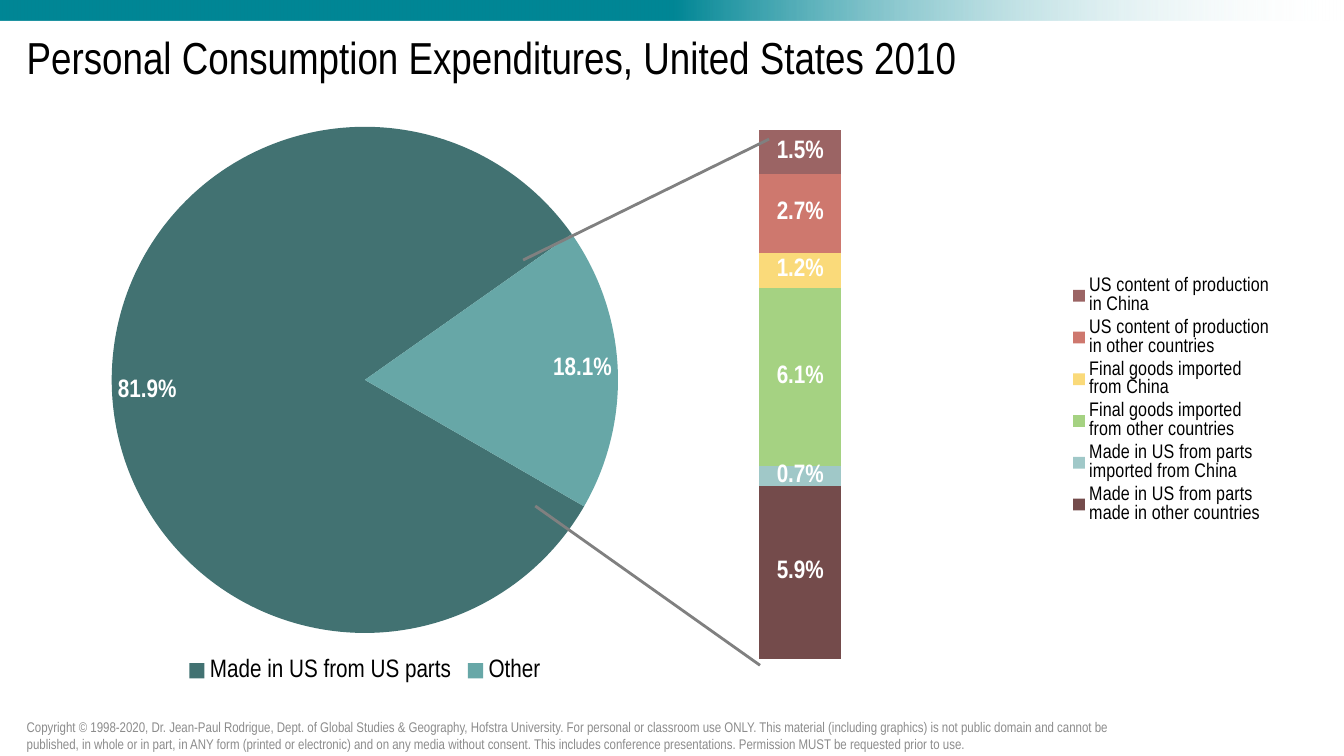
from lxml import etree
from pptx import Presentation
from pptx import util as u
from pptx.chart.data import CategoryChartData
from pptx.dml.color import RGBColor
from pptx.enum import chart as ch, shapes, text
from pptx.oxml import parse_xml
from pptx.oxml.ns import nsdecls, qn

COLUMNS, ROWS = 80, 45
WIDTH, HEIGHT = u.Inches(13.33), u.Inches(7.5)
FONT = "Arial Narrow"
COLORS = {
    "band": "008695", "white": "FFFFFF", "black": "000000", "grey": "8C8C8C",
    "leader": "808080", "us parts": "427272", "other": "67A7A7",
}
TITLE = "Personal Consumption Expenditures, United States 2010"
COPYRIGHT = (
    "Copyright © 1998-2020, Dr. Jean-Paul Rodrigue, Dept. of Global Studies & Geography, "
    "Hofstra University. For personal or classroom use ONLY. This material (including graphics) "
    "is not public domain and cannot be published, in whole or in part, in ANY form (printed or "
    "electronic) and on any media without consent. This includes conference presentations. "
    "Permission MUST be requested prior to use."
)
ORIGINS = [
    ("Made in US from US parts", 0.819, COLORS["us parts"]),
    ("Other", 0.181, COLORS["other"]),
]
OTHER_PARTS = [
    ("Made in US from parts made in other countries", 0.059, "744B4B"),
    ("Made in US from parts imported from China", 0.007, "A0C8C8"),
    ("Final goods imported from other countries", 0.061, "A5D282"),
    ("Final goods imported from China", 0.012, "FADA7A"),
    ("US content of production in other countries", 0.027, "CE786E"),
    ("US content of production in China", 0.015, "9B6464"),
]


def grid(*cells):
    """Turn alternating column and row counts into slide lengths."""
    sizes = (WIDTH / COLUMNS, HEIGHT / ROWS)
    return [u.Emu(round(cell * sizes[i % 2])) for i, cell in enumerate(cells)]


def rgb(color):
    """Return the colour object of a hex string."""
    return RGBColor.from_string(color)


def style_font(font, size, color, bold=False):
    """Give a font its face, size, colour and weight."""
    font.name, font.size, font.bold = FONT, u.Pt(size), bold
    font.color.rgb = rgb(color)


def add_text(slide, cells, content, size, color, line_spacing=1.0):
    """Add a wrapped, vertically centred text box."""
    frame = slide.shapes.add_textbox(*grid(*cells)).text_frame
    frame.word_wrap = True
    frame.vertical_anchor = text.MSO_ANCHOR.MIDDLE
    paragraph = frame.paragraphs[0]
    paragraph.line_spacing = line_spacing
    run = paragraph.add_run()
    run.text = content
    style_font(run.font, size, color)


def add_band(slide):
    """Add the top band that fades out to the right."""
    band = slide.shapes.add_shape(shapes.MSO_SHAPE.RECTANGLE, *grid(0, 0, COLUMNS, 1.2))
    band.shadow.inherit = False
    band.line.fill.background()
    band.fill.gradient()
    band.fill.gradient_angle = 0
    solid, clear = band.fill.gradient_stops
    solid.position, clear.position = 0.5, 1
    solid.color.rgb, clear.color.rgb = rgb(COLORS["band"]), rgb(COLORS["white"])
    last_color = list(band._element.spPr.iter(qn("a:srgbClr")))[-1]
    etree.SubElement(last_color, qn("a:alpha")).set("val", "0")


def add_leader(slide, cells):
    """Add a line that leads from the pie to the column."""
    line = slide.shapes.add_connector(shapes.MSO_CONNECTOR.STRAIGHT, *grid(*cells))
    line.line.color.rgb = rgb(COLORS["leader"])
    line.line.width = u.Pt(2)
    etree.SubElement(line._element.spPr, qn("a:effectLst"))


def add_share_chart(slide, kind, cells, data, legend_position, legend_size):
    """Add a chart with the shared font and legend style."""
    chart = slide.shapes.add_chart(kind, *grid(*cells), data).chart
    style_font(chart.font, 18, COLORS["black"])
    chart.has_title = False
    chart.has_legend = True
    chart.legend.position = legend_position
    chart.legend.include_in_layout = False
    style_font(chart.legend.font, legend_size, COLORS["black"])
    return chart


def add_labels(series, position):
    """Show white bold percentages on a series."""
    labels = series.data_labels
    labels.show_value = True
    labels.number_format = "0.0%"
    labels.number_format_is_linked = False
    labels.position = position
    style_font(labels.font, 18, COLORS["white"], bold=True)


def fill_solid(item, color):
    """Fill a series or point with one colour."""
    item.format.fill.solid()
    item.format.fill.fore_color.rgb = rgb(color)


def add_pie(slide, cells):
    """Add the pie of domestic and other spending."""
    data = CategoryChartData(number_format="0.0%")
    data.categories = [name for name, _, _ in ORIGINS]
    data.add_series("Series 1", [value for _, value, _ in ORIGINS])
    chart = add_share_chart(slide, ch.XL_CHART_TYPE.PIE, cells, data,
                            ch.XL_LEGEND_POSITION.BOTTOM, 18)
    plot = chart.plots[0]
    plot.vary_by_categories = True
    series = plot.series[0]
    for index, (_, _, color) in enumerate(ORIGINS):
        fill_solid(series.points[index], color)
    add_labels(series, ch.XL_LABEL_POSITION.INSIDE_END)
    angle = plot._element.find(qn("c:firstSliceAng"))
    if angle is None:
        angle = etree.SubElement(plot._element, qn("c:firstSliceAng"))
    angle.set("val", "120")


def set_plot_area(chart, **shares):
    """Place the inner plot area by shares of the chart."""
    modes = "".join(f'<c:{name}Mode val="edge"/>' for name in "xy")
    sizes = "".join(f'<c:{name} val="{value}"/>' for name, value in shares.items())
    area = chart._chartSpace.chart.plotArea
    for layout in area.findall(qn("c:layout")):
        area.remove(layout)
    area.insert(0, parse_xml(
        f'<c:layout {nsdecls("c")}><c:manualLayout><c:layoutTarget val="inner"/>'
        f'{modes}{sizes}</c:manualLayout></c:layout>'))


def add_breakdown(slide, cells):
    """Add the stacked column that splits the other spending."""
    data = CategoryChartData(number_format="0.0%")
    data.categories = ["1"]
    for name, value, _ in OTHER_PARTS:
        data.add_series(name, [value])
    chart = add_share_chart(slide, ch.XL_CHART_TYPE.COLUMN_STACKED_100, cells, data,
                            ch.XL_LEGEND_POSITION.RIGHT, 14)
    for axis in (chart.category_axis, chart.value_axis):
        axis.has_major_gridlines = False
        axis.visible = False
    plot = chart.plots[0]
    plot.vary_by_categories = False
    plot.gap_width, plot.overlap = 150, 100
    for series, (_, _, color) in zip(plot.series, OTHER_PARTS):
        fill_solid(series, color)
        add_labels(series, ch.XL_LABEL_POSITION.CENTER)
    set_plot_area(chart, x=0.03, y=0.03, w=0.34, h=0.92)


def main():
    """Build the slide and save it."""
    presentation = Presentation()
    presentation.slide_width, presentation.slide_height = WIDTH, HEIGHT
    slide = presentation.slides.add_slide(presentation.slide_layouts[6])
    add_band(slide)
    add_text(slide, (1, 1.2, 78, 4.8), TITLE, 32, COLORS["black"], line_spacing=0.9)
    add_pie(slide, (3.72, 6.72, 36, 34.2))
    add_breakdown(slide, (40.44, 6.72, 36, 34.2))
    add_text(slide, (1, 42.6, 65.7, 2.4), COPYRIGHT, 10, COLORS["grey"])
    add_leader(slide, (31.14, 15.48, 45.78, 8.28))
    add_leader(slide, (31.86, 30.12, 45.24, 39.6))
    presentation.save("out.pptx")


if __name__ == "__main__":
    main()
